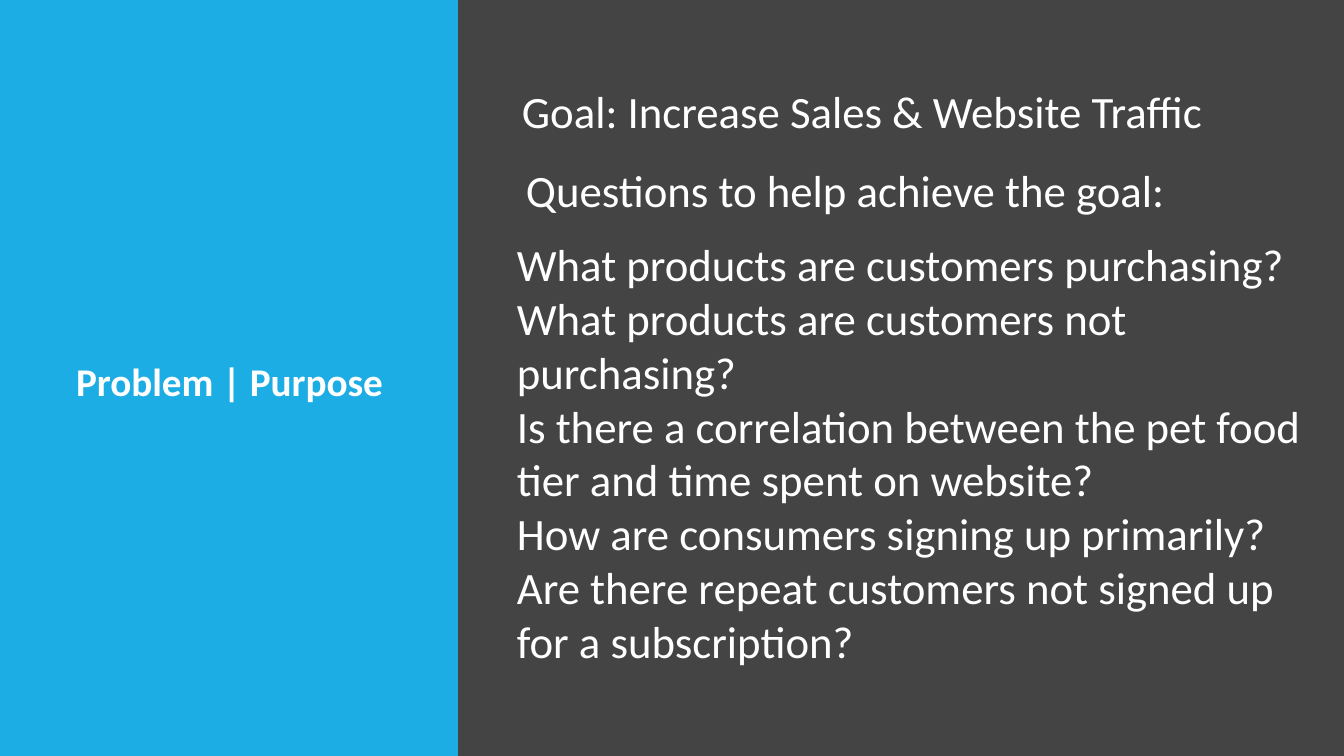
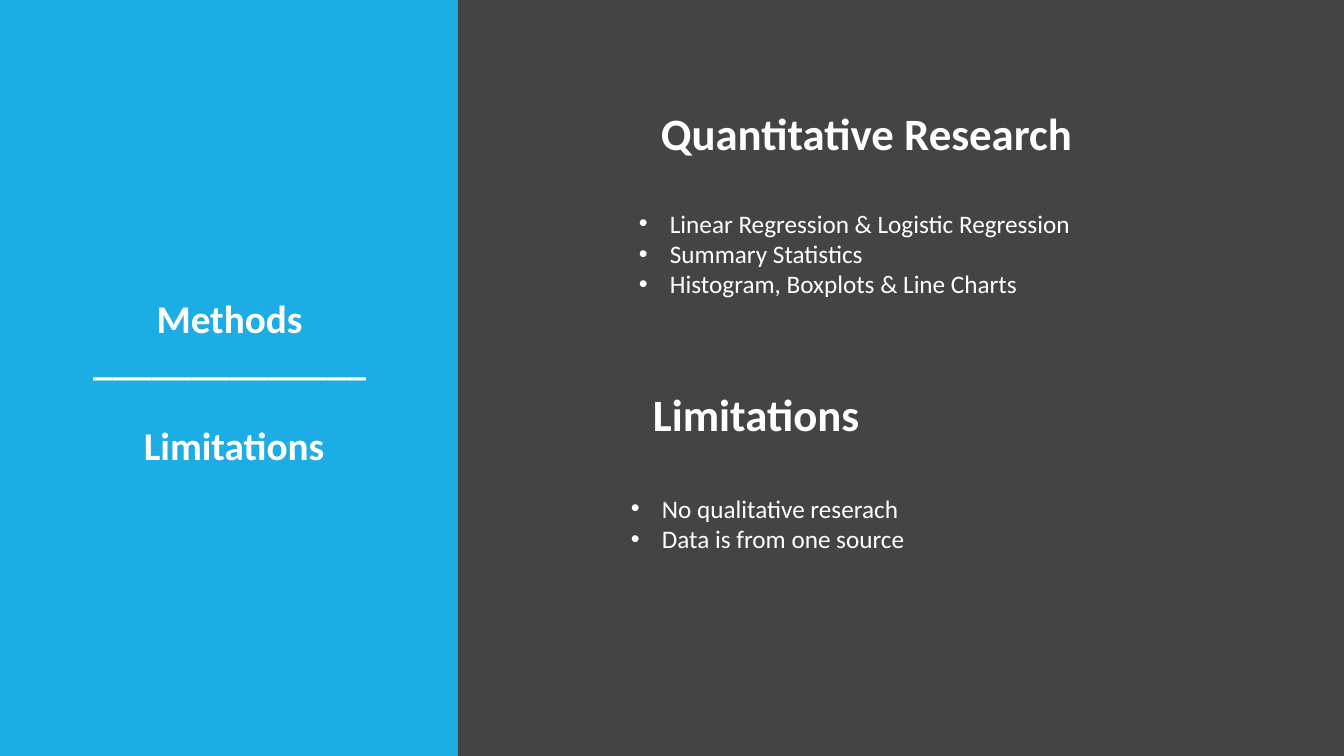
from pptx import Presentation
from pptx.dml.color import RGBColor
from pptx.enum.shapes import MSO_SHAPE
from pptx.enum.text import MSO_ANCHOR, PP_ALIGN
from pptx.oxml.ns import qn
from pptx.util import Emu, Pt
from lxml import etree

COLORS = {"dark": "444444", "blue": "1CADE4", "white": "FFFFFF"}
FONT = "Calibri"
SLIDE_W, SLIDE_H, PANEL_W = 1344, 756, 458
TITLE_BOX = (49, 96, 361, 576)
BULLET_INDENT = 31
HEAD = {"size": 32, "bold": True}
LARGE = {"size": 32}
BULLETS = {"size": 18, "bullet": True}

# Each title line: text, space before in pt, left indent in px
# Each text: box in px, paragraphs, style
SLIDES = [
    {
        "title": [("Problem | Purpose", 0, 0)],
        "texts": [
            ((512, 79, 829, 65), ["Goal: Increase Sales & Website Traffic"], LARGE),
            ((516, 158, 829, 65), ["Questions to help achieve the goal:"], LARGE),
            ((507, 232, 808, 444), [
                "What products are customers purchasing?",
                "What products are customers not purchasing?",
                "Is there a correlation between the pet food tier and time spent on website?",
                "How are consumers signing up primarily?",
                "Are there repeat customers not signed up for a subscription?",
            ], LARGE),
        ],
    },
    {
        "title": [("Methods", 0, 0), ("______________", 0, 0), ("Limitations", 30, 9)],
        "texts": [
            ((651, 101, 531, 65), ["Quantitative Research"], HEAD),
            ((629, 203, 607, 132), [
                "Linear Regression & Logistic Regression",
                "Summary Statistics",
                "Histogram, Boxplots & Line Charts",
            ], BULLETS),
            ((643, 382, 531, 65), ["Limitations"], HEAD),
            ((621, 488, 672, 72), [
                "No qualitative reserach",
                "Data is from one source",
            ], BULLETS),
        ],
    },
]


def px(n):
    return Emu(round(n * 12192000 / SLIDE_W))


def color(name):
    return RGBColor.from_string(COLORS[name])


def add_bullet(p):
    pPr = p._p.get_or_add_pPr()
    pPr.set("marL", str(px(BULLET_INDENT)))
    pPr.set("indent", str(-px(BULLET_INDENT)))
    etree.SubElement(pPr, qn("a:buFont")).set("typeface", "Arial")
    etree.SubElement(pPr, qn("a:buChar")).set("char", "•")


def add_text(s, box, lines, size, bold=False, bullet=False):
    tf = s.shapes.add_textbox(*map(px, box)).text_frame
    tf.word_wrap = True
    tf.text = "\n".join(lines)
    for p in tf.paragraphs:
        if bullet:
            add_bullet(p)
        for r in p.runs:
            r.font.name = FONT
            r.font.size = Pt(size)
            r.font.bold = bold
            r.font.color.rgb = color("white")
    return tf


def add_title(s, lines):
    tf = add_text(s, TITLE_BOX, [text for text, _, _ in lines], 28, bold=True)
    tf.vertical_anchor = MSO_ANCHOR.MIDDLE
    for p, (_, gap, indent) in zip(tf.paragraphs, lines):
        p.alignment = PP_ALIGN.CENTER
        p.line_spacing = 0.9
        if gap:
            p.space_before = Pt(gap)
        if indent:
            p._p.get_or_add_pPr().set("marL", str(px(indent)))


def add_panel(s, width, fill):
    sp = s.shapes.add_shape(MSO_SHAPE.RECTANGLE, 0, 0, px(width), px(SLIDE_H))
    sp.shadow.inherit = False
    sp.fill.solid()
    sp.fill.fore_color.rgb = color(fill)
    sp.line.fill.background()


def add_base(prs):
    # Dark background with the blue title panel
    s = prs.slides.add_slide(prs.slide_layouts[6])
    s.background.fill.solid()
    s.background.fill.fore_color.rgb = color("dark")
    add_panel(s, SLIDE_W, "dark")
    add_panel(s, PANEL_W, "blue")
    return s


def main():
    prs = Presentation()
    prs.slide_width, prs.slide_height = px(SLIDE_W), px(SLIDE_H)
    for content in SLIDES:
        s = add_base(prs)
        add_title(s, content["title"])
        for box, lines, style in content["texts"]:
            add_text(s, box, lines, **style)
    prs.save("out.pptx")


if __name__ == "__main__":
    main()
